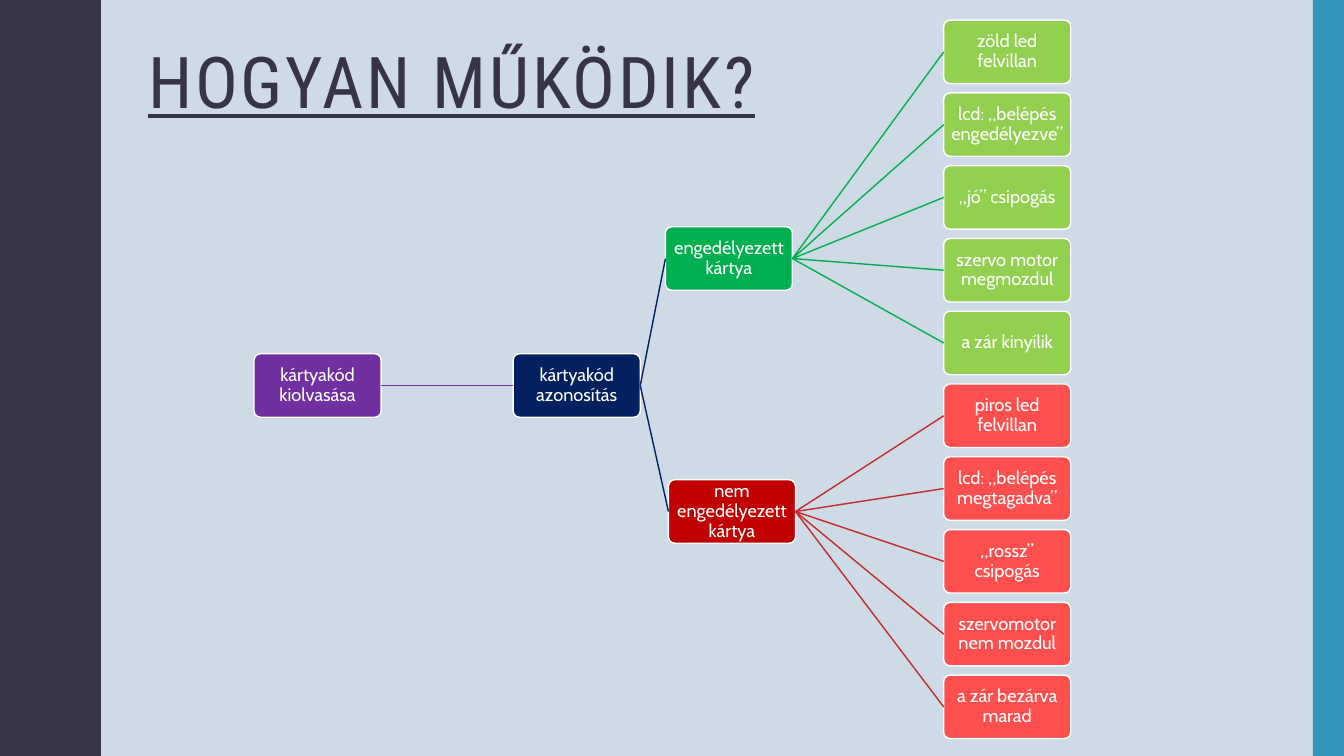
import dataclasses

import pptx
import pptx.dml.color
import pptx.enum.shapes
import pptx.enum.text
import pptx.oxml.ns
import pptx.oxml.xmlchemy
import pptx.presentation
import pptx.shapes.autoshape
import pptx.slide
import pptx.text.text
import pptx.util

Inches = pptx.util.Inches
Pt = pptx.util.Pt
RGBColor = pptx.dml.color.RGBColor
SHAPE = pptx.enum.shapes.MSO_SHAPE
Shape = pptx.shapes.autoshape.Shape
Slide = pptx.slide.Slide

SKY = RGBColor(0xCE, 0xDB, 0xE6)
DARK = RGBColor(0x37, 0x35, 0x45)
BLUE = RGBColor(0x34, 0x94, 0xBA)
WHITE = RGBColor(0xFF, 0xFF, 0xFF)
PURPLE = RGBColor(0x70, 0x30, 0xA0)
NAVY = RGBColor(0x00, 0x20, 0x60)
GREEN = RGBColor(0x00, 0xB0, 0x50)
LIME = RGBColor(0x92, 0xD0, 0x50)
RED = RGBColor(0xC0, 0x00, 0x00)
BRICK = RGBColor(0xC5, 0x29, 0x29)
CORAL = RGBColor(0xFF, 0x4F, 0x4F)

WIDE, HIGH = 13.33, 7.5
BOX_W, BOX_H = 1.26, 0.63
LEAF_X, LEAF_Y, LEAF_STEP = 9.36, 0.2, 0.722

# Half a wave of the left edge, which then repeats mirrored
WAVE = 1.5
HALF = [(0.78, 0), (0.78, 0.07), (0.79, 0.14), (0.8, 0.2), (0.81, 0.25),
        (0.83, 0.29), (0.85, 0.33), (0.87, 0.38), (0.89, 0.42), (0.91, 0.46),
        (0.93, 0.5), (0.95, 0.55), (0.96, 0.61), (0.97, 0.68), (0.97, 0.75)]

GOOD = ["zöld led felvillan", "lcd: „belépés engedélyezve”", "„jó” csipogás",
        "szervo motor megmozdul", "a zár kinyílik"]
BAD = ["piros led felvillan", "lcd: „belépés megtagadva”", "„rossz” csipogás",
       "szervomotor nem mozdul", "a zár bezárva marad"]


@dataclasses.dataclass
class Node:
    text: str
    left: float
    top: float
    fill: RGBColor
    line: RGBColor = WHITE
    kids: list["Node"] = dataclasses.field(default_factory=list)


def make_leaves(texts: list[str], first: int, fill: RGBColor) -> list[Node]:
    return [Node(text, LEAF_X, LEAF_Y + row * LEAF_STEP, fill)
            for row, text in enumerate(texts, first)]


def add_run(para: pptx.text.text._Paragraph, text: str, face: str,
            size: float, color: RGBColor) -> pptx.text.text._Run:
    run = para.add_run()
    run.text = text
    run.font.name = face
    run.font.size = Pt(size)
    run.font.color.rgb = color
    para.line_spacing = 0.9
    return run


def paint(shape: Shape, fill: RGBColor) -> None:
    shape.shadow.inherit = False
    shape.fill.solid()
    shape.fill.fore_color.rgb = fill
    shape.line.fill.background()


def draw_frame(slide: Slide) -> None:
    slide.background.fill.solid()
    slide.background.fill.fore_color.rgb = SKY
    edge = []
    for turn in range(5):
        start = turn * WAVE
        edge += [(x, start + y) for x, y in HALF]
        edge += [(x, start + WAVE - y) for x, y in reversed(HALF[:-1])]
    form = slide.shapes.build_freeform(0, 0, scale=Inches(1))
    form.add_line_segments(edge + [(0, HIGH)], close=True)
    paint(form.convert_to_shape(), DARK)
    bar = slide.shapes.add_shape(SHAPE.RECTANGLE, Inches(13.02), 0,
                                 Inches(0.31), Inches(HIGH))
    paint(bar, BLUE)


def draw_title(slide: Slide) -> None:
    box = slide.shapes.add_textbox(Inches(1.37), Inches(0.42),
                                   Inches(11.13), Inches(1.63))
    box.text_frame.word_wrap = True
    run = add_run(box.text_frame.paragraphs[0], "HOGYAN MŰKÖDIK?",
                  "Roboto Condensed", 51, DARK)
    run.font.underline = True
    run.font._element.set("spc", "200")


def draw_box(slide: Slide, node: Node) -> Shape:
    box = slide.shapes.add_shape(SHAPE.ROUNDED_RECTANGLE, Inches(node.left),
                                 Inches(node.top), Inches(BOX_W), Inches(BOX_H))
    box.adjustments[0] = 0.1
    paint(box, node.fill)
    box.line.color.rgb = WHITE
    box.line.width = Pt(1)
    frame = box.text_frame
    frame.word_wrap = True
    frame.vertical_anchor = pptx.enum.text.MSO_ANCHOR.MIDDLE
    frame.margin_left = frame.margin_right = Inches(0.01)
    frame.margin_top = frame.margin_bottom = Inches(0.01)
    para = frame.paragraphs[0]
    para.alignment = pptx.enum.text.PP_ALIGN.CENTER
    add_run(para, node.text, "Cabin", 13, WHITE)
    return box


def join(slide: Slide, start: Shape, end: Shape, color: RGBColor) -> None:
    link = slide.shapes.add_connector(
        pptx.enum.shapes.MSO_CONNECTOR.STRAIGHT, 0, 0, 0, 0)
    link.begin_connect(start, 3)
    link.end_connect(end, 1)
    link.line.color.rgb = color
    link.line.width = Pt(1)
    props = link._element.spPr
    props.append(props.makeelement(pptx.oxml.ns.qn("a:effectLst"), {}))


def draw_tree(slide: Slide, node: Node) -> Shape:
    box = draw_box(slide, node)
    for kid in node.kids:
        join(slide, box, draw_tree(slide, kid), node.line)
    return box


def main() -> None:
    deck = pptx.Presentation()
    deck.slide_width, deck.slide_height = Inches(WIDE), Inches(HIGH)
    slide = deck.slides.add_slide(deck.slide_layouts[6])

    # Background, side bands and title
    draw_frame(slide)
    draw_title(slide)

    # Decision tree, from the leaves back to the root
    allowed = Node("engedélyezett kártya", 6.6, 2.25, GREEN, GREEN,
                   make_leaves(GOOD, 0, LIME))
    denied = Node("nem engedélyezett kártya", 6.63, 4.76, RED, BRICK,
                  make_leaves(BAD, len(GOOD), CORAL))
    check = Node("kártyakód azonosítás", 5.09, 3.51, NAVY, NAVY,
                 [allowed, denied])
    draw_tree(slide, Node("kártyakód kiolvasása", 2.52, 3.51, PURPLE, PURPLE,
                          [check]))
    deck.save("out.pptx")


if __name__ == "__main__":
    main()
